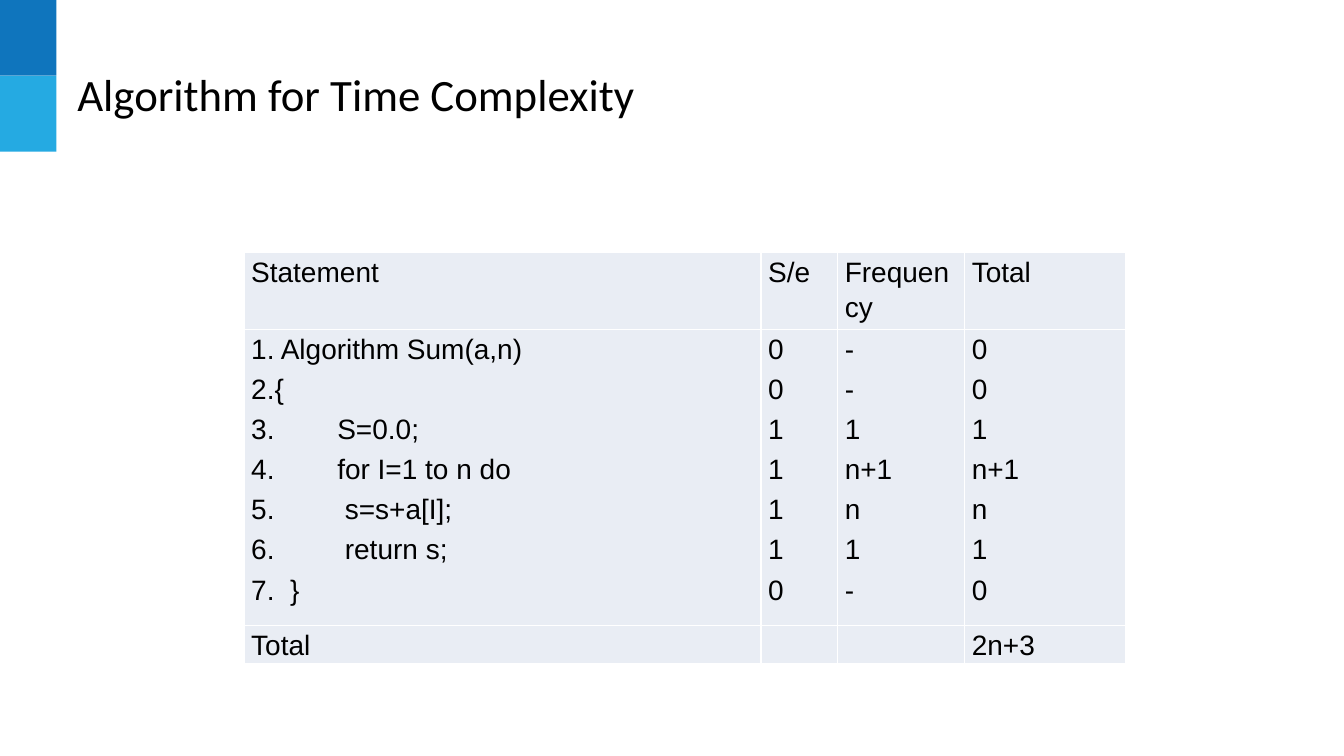
from dataclasses import dataclass

from lxml.etree import SubElement
from pptx import Presentation
from pptx.dml.color import RGBColor
from pptx.enum.shapes import MSO_SHAPE
from pptx.enum.text import MSO_ANCHOR, PP_ALIGN
from pptx.oxml.ns import qn
from pptx.util import Cm, Pt


@dataclass(frozen=True)
class Theme:
    dark_blue: str = "0F75BD"
    light_blue: str = "25AAE2"
    cell: str = "E9EDF4"
    border: str = "FFFFFF"
    ink: str = "000000"
    title_font: str = "Calibri"
    table_font: str = "Arial"
    title_size: int = 32
    table_size: int = 20


class SlideBuilder:
    def __init__(self, slide, theme):
        self.slide = slide
        self.theme = theme

    def style_font(self, paragraph, name, size):
        paragraph.font.name = name
        paragraph.font.size = Pt(size)
        paragraph.font.color.rgb = RGBColor.from_string(self.theme.ink)

    def block(self, left, top, width, height, color):
        block = self.slide.shapes.add_shape(
            MSO_SHAPE.RECTANGLE, Cm(left), Cm(top), Cm(width), Cm(height))
        block.shadow.inherit = False
        block.fill.solid()
        block.fill.fore_color.rgb = RGBColor.from_string(color)
        block.line.fill.background()

    def title(self, text, left, top, width, height):
        frame = self.slide.shapes.add_textbox(
            Cm(left), Cm(top), Cm(width), Cm(height)).text_frame
        frame.word_wrap = True
        frame.vertical_anchor = MSO_ANCHOR.MIDDLE
        heading = frame.paragraphs[0]
        heading.text = text
        self.style_font(heading, self.theme.title_font, self.theme.title_size)

    def table(self, left, top, widths, heights, rows):
        table = self.slide.shapes.add_table(
            len(heights), len(widths), Cm(left), Cm(top),
            Cm(sum(widths)), Cm(sum(heights))).table
        table.first_row = table.horz_banding = False
        for column, width in zip(table.columns, widths):
            column.width = Cm(width)
        for row, height, contents in zip(table.rows, heights, rows):
            row.height = Cm(height)
            for cell, lines in zip(row.cells, contents):
                self.fill_cell(cell, lines)

    def fill_cell(self, cell, lines):
        """Write one paragraph per (text, tab stop in cm) pair."""
        cell.margin_left = cell.margin_right = Cm(0.18)
        cell.margin_top = cell.margin_bottom = 0
        self.draw_borders(cell)
        cell.fill.solid()
        cell.fill.fore_color.rgb = RGBColor.from_string(self.theme.cell)
        frame = cell.text_frame
        for index, (text, stop) in enumerate(lines):
            line = frame.add_paragraph() if index else frame.paragraphs[0]
            line.text = text
            line.alignment = PP_ALIGN.JUSTIFY
            line.line_spacing = 1.15
            line.space_after = Pt(3)
            if stop:
                stops = SubElement(line._p.get_or_add_pPr(), qn("a:tabLst"))
                SubElement(stops, qn("a:tab"), pos=str(Cm(stop)), algn="l")
            self.style_font(line, self.theme.table_font, self.theme.table_size)

    def draw_borders(self, cell):
        properties = cell._tc.get_or_add_tcPr()
        for side in ("lnL", "lnR", "lnT", "lnB"):
            border = SubElement(properties, qn(f"a:{side}"), w=str(Pt(1)))
            fill = SubElement(border, qn("a:solidFill"))
            SubElement(fill, qn("a:srgbClr"), val=self.theme.border)


def plain(*texts):
    """Pair each text with no tab stop."""
    return [(text, None) for text in texts]


STATEMENTS = [
    ("1. Algorithm Sum(a,n)", None),
    ("2.{", None),
    ("3.\tS=0.0;", 2.17),
    ("4.\tfor I=1 to n do", 2.17),
    ("5.\ts=s+a[I];", 2.36),
    ("6.\treturn s;", 2.36),
    ("7.\t}", 0.98),
]
STEPS = plain("0", "0", "1", "1", "1", "1", "0")
FREQUENCIES = plain("-", "-", "1", "n+1", "n", "1", "-")
TOTALS = plain("0", "0", "1", "n+1", "n", "1", "0")

ROWS = [
    [plain(name) for name in ("Statement", "S/e", "Frequency", "Total")],
    [STATEMENTS, STEPS, FREQUENCIES, TOTALS],
    [plain("Total"), [], [], plain("2n+3")],
]


def main():
    presentation = Presentation()
    presentation.slide_width = Cm(33.87)
    presentation.slide_height = Cm(19.05)
    theme = Theme()
    builder = SlideBuilder(
        presentation.slides.add_slide(presentation.slide_layouts[6]), theme)

    block_height = 1.91
    for index, color in enumerate((theme.dark_blue, theme.light_blue)):
        builder.block(0, index * block_height, 1.42, block_height, color)
    builder.title("Algorithm for Time Complexity", 1.7, 0.76, 30.48, 3.18)
    builder.table(6.15, 6.35, (13.03, 1.93, 3.2, 4.06), (0.69, 5.84, 0.69), ROWS)
    presentation.save("out.pptx")


if __name__ == "__main__":
    main()
